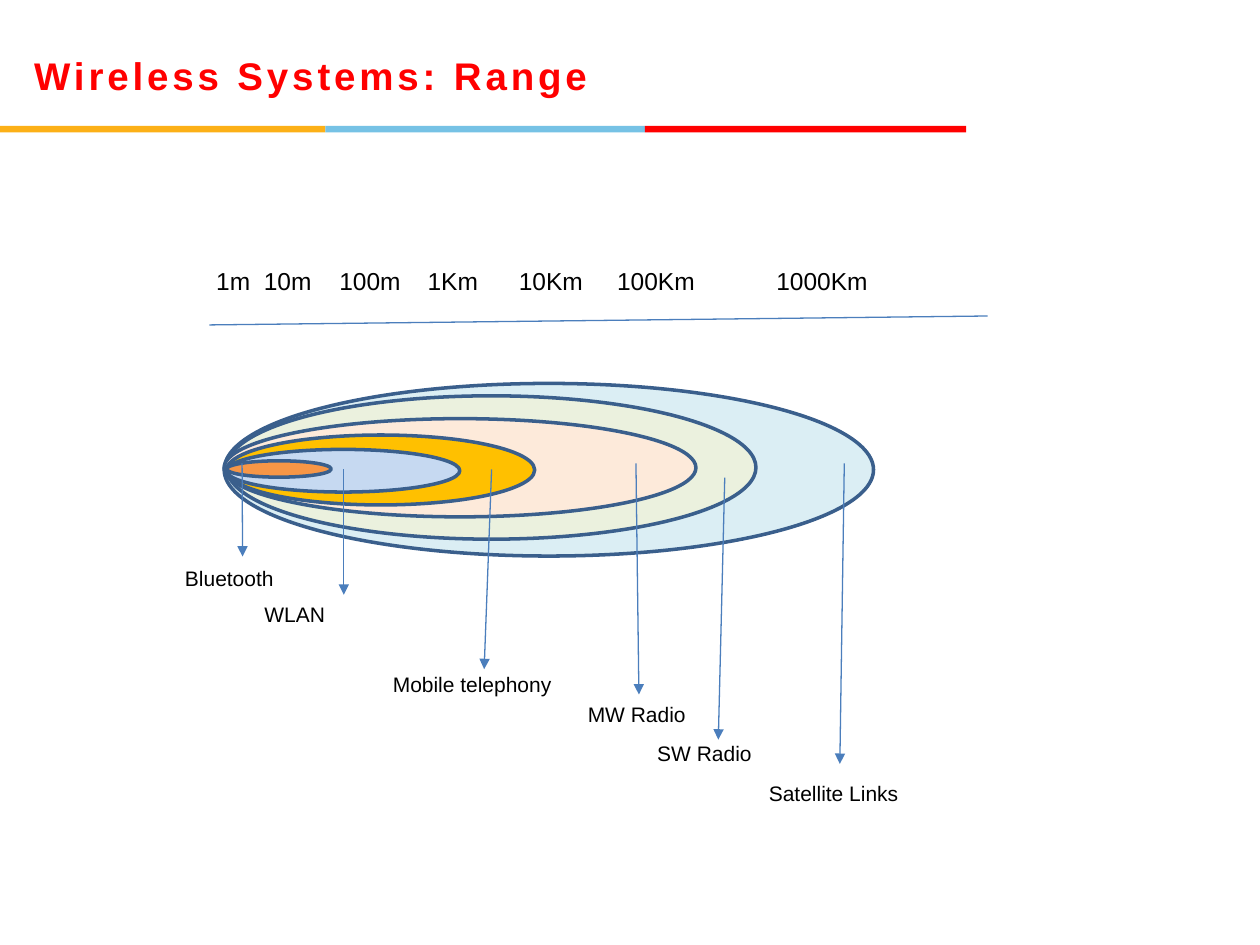
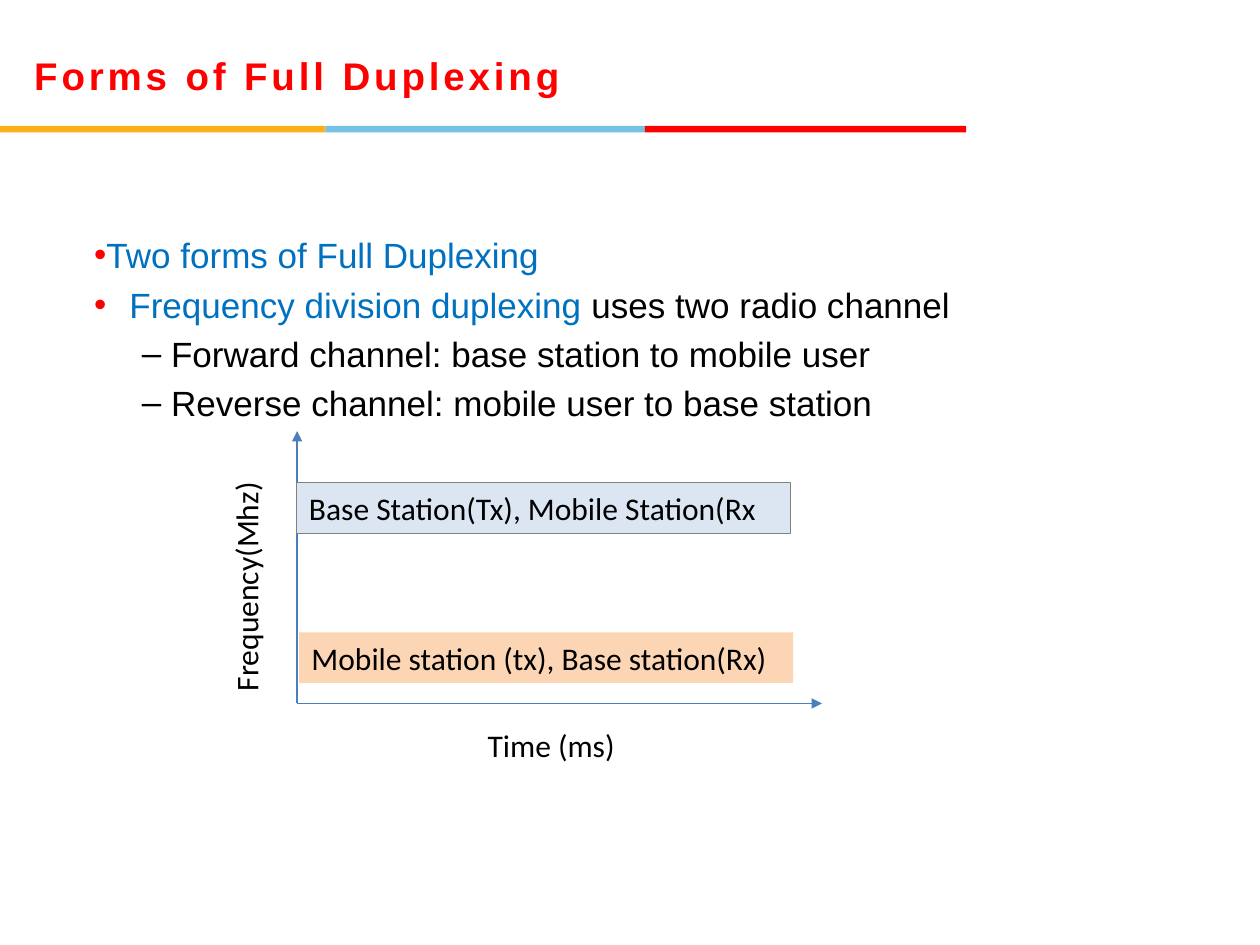
from dataclasses import dataclass
from typing import NamedTuple

from lxml.etree import SubElement
from pptx import Presentation
from pptx.dml.color import RGBColor
from pptx.enum.shapes import MSO_CONNECTOR, MSO_SHAPE
from pptx.enum.text import MSO_ANCHOR, PP_ALIGN
from pptx.oxml.ns import qn
from pptx.util import Cm, Pt


@dataclass(frozen=True)
class Theme:
    """Colours, fonts and sizes shared by the slides."""

    red: str = "FF0000"
    amber: str = "FCB017"
    sky: str = "76C2E5"
    blue: str = "0070C0"
    black: str = "000000"
    arrow: str = "4B7EBC"
    outline: str = "3A5F8C"
    box_border: str = "808080"
    downlink: str = "DCE6F2"
    uplink: str = "FCD5B5"
    font: str = "Arial"
    chart_font: str = "Calibri"
    title_size: float = 22
    title_spacing: float = 2.25
    body_size: float = 20
    chart_size: float = 18
    scale_size: float = 14
    label_size: float = 12
    thin_line: float = 0.75
    thick_line: float = 2


THEME = Theme()


class Service(NamedTuple):
    """A wireless service with its range ellipse, arrow and label position."""

    name: str
    fill: str
    ellipse: tuple
    arrow: tuple
    label: tuple


SERVICES = [
    Service("Satellite Links", "DBEEF4", (4.52, 7.73, 13.09, 3.48),
            (17.02, 9.34, 16.93, 15.4), (15.25, 15.62)),
    Service("SW Radio", "EBF1DE", (4.57, 7.98, 10.67, 2.89),
            (14.61, 9.63, 14.48, 14.91), (13, 14.81)),
    Service("MW Radio", "FDEADA", (4.52, 8.44, 9.51, 1.98),
            (12.82, 9.34, 12.88, 14), (11.6, 14.02)),
    Service("Mobile telephony", "FFC000", (4.57, 8.77, 6.21, 1.41),
            (9.91, 9.46, 9.76, 13.49), (7.67, 13.41)),
    Service("WLAN", "C6D9F1", (4.57, 9.06, 4.7, 0.86),
            (6.93, 9.46, 6.93, 11.99), (5.08, 12.01)),
    Service("Bluetooth", "F79646", (4.57, 9.29, 2.11, 0.33),
            (4.88, 9.34, 4.89, 11.22), (3.48, 11.28)),
]

SCALE_MARKS = ["1m", "10m", "100m", "1Km", "10Km", "100Km", "1000Km"]
SCALE_TABS = [0.96, 2.48, 4.26, 6.1, 8.08, 11.29]


def apply_format(target, **values):
    """Set each named attribute on the target."""
    for name, value in values.items():
        setattr(target, name, value)


def add_run(paragraph, text, size, color=THEME.black, font=THEME.font, bold=False):
    """Append a formatted run to the paragraph and return it."""
    run = paragraph.add_run()
    run.text = text
    apply_format(run.font, name=font, size=Pt(size), bold=bold)
    run.font.color.rgb = RGBColor.from_string(color)
    return run


def add_text(slide, box, text, size, **style):
    """Add a wrapped text box with one run and return its shape."""
    shape = slide.shapes.add_textbox(*map(Cm, box))
    shape.text_frame.word_wrap = True
    if text:
        add_run(shape.text_frame.paragraphs[0], text, size, **style)
    return shape


def add_filled(slide, kind, box, fill, border=None, width=THEME.thin_line):
    """Add a flat preset shape with an optional border."""
    shape = slide.shapes.add_shape(kind, *map(Cm, box))
    shape.shadow.inherit = False
    shape.fill.solid()
    shape.fill.fore_color.rgb = RGBColor.from_string(fill)
    if border:
        shape.line.color.rgb = RGBColor.from_string(border)
        shape.line.width = Pt(width)
    else:
        shape.line.fill.background()
    return shape


def add_line(slide, ends, arrowhead=True):
    """Add a thin straight line, by default with an arrowhead at its end."""
    connector = slide.shapes.add_connector(MSO_CONNECTOR.STRAIGHT, *map(Cm, ends))
    connector.line.color.rgb = RGBColor.from_string(THEME.arrow)
    connector.line.width = Pt(THEME.thin_line)
    properties = connector.element.spPr
    if arrowhead:
        SubElement(properties.find(qn("a:ln")), qn("a:tailEnd"), type="triangle")
    SubElement(properties, qn("a:effectLst"))


def add_title_slide(presentation, title):
    """Add a blank slide with the three-colour rule and a title."""
    slide = presentation.slides.add_slide(presentation.slide_layouts[6])
    bands = [(0, 6.56, THEME.amber), (6.56, 6.44, THEME.sky), (13, 6.48, THEME.red)]
    for left, width, color in bands:
        add_filled(slide, MSO_SHAPE.RECTANGLE, (left, 2.54, width, 0.13), color)
    shape = add_text(slide, (0.69, 0.43, 18.16, 2.16), "", THEME.title_size)
    frame = shape.text_frame
    apply_format(frame, vertical_anchor=MSO_ANCHOR.MIDDLE, margin_left=0,
                 margin_right=0, margin_top=0, margin_bottom=0)
    run = add_run(frame.paragraphs[0], title, THEME.title_size, THEME.red, bold=True)
    run.font._element.set("spc", str(round(THEME.title_spacing * 100)))
    return slide


def add_scale(slide):
    """Add the distance marks on tab stops above the scale line."""
    add_line(slide, (4.22, 6.55, 19.91, 6.37), arrowhead=False)
    shape = add_text(slide, (4.11, 5.24, 15.65, 0.86), "", THEME.scale_size)
    paragraph = shape.text_frame.paragraphs[0]
    tabs = SubElement(paragraph._p.get_or_add_pPr(), qn("a:tabLst"))
    for position in SCALE_TABS:
        SubElement(tabs, qn("a:tab"), pos=str(Cm(position)), algn="l")
    add_run(paragraph, "\t".join(SCALE_MARKS), THEME.scale_size)


def add_bullet(paragraph, runs, mark, mark_color, margin, hanging, level):
    """Fill a paragraph with coloured runs behind a bullet mark."""
    properties = paragraph._p.get_or_add_pPr()
    properties.set("marL", str(Cm(margin)))
    properties.set("indent", str(-Cm(hanging)))
    color = SubElement(properties, qn("a:buClr"))
    SubElement(color, qn("a:srgbClr"), val=mark_color)
    SubElement(properties, qn("a:buFont"), typeface=THEME.font)
    SubElement(properties, qn("a:buChar"), char=mark)
    paragraph.level = level
    for text, run_color in runs:
        add_run(paragraph, text, THEME.body_size, run_color)


def add_duplexing_points(slide):
    """Add the bulleted explanation of full duplexing."""
    main_mark = ("•", THEME.red)
    sub_mark = ("–", THEME.black, 1.55, 0.59, 1)
    points = [
        ([("Two forms of Full Duplexing", THEME.blue)], *main_mark, 0, 0, 0),
        ([("Frequency division duplexing ", THEME.blue),
          ("uses two radio channel", THEME.black)], *main_mark, 0.71, 0.71, 0),
        ([("Forward channel: base station to mobile user", THEME.black)], *sub_mark),
        ([("Reverse channel: mobile user to base station", THEME.black)], *sub_mark),
    ]
    frame = add_text(slide, (1.9, 4.59, 22.86, 11.5), "", THEME.body_size).text_frame
    apply_format(frame, margin_left=0, margin_right=0)
    for index, point in enumerate(points):
        paragraph = frame.add_paragraph() if index else frame.paragraphs[0]
        add_bullet(paragraph, *point)
        if index:
            paragraph.space_before = Pt(4 if paragraph.level else 4.5)


def add_channel(slide, box, text, fill, border=None):
    """Add a channel bar with left-aligned text."""
    shape = add_filled(slide, MSO_SHAPE.RECTANGLE, box, fill, border)
    shape.text_frame.word_wrap = True
    paragraph = shape.text_frame.paragraphs[0]
    paragraph.alignment = PP_ALIGN.LEFT
    add_run(paragraph, text, THEME.chart_size, font=THEME.chart_font)


def build_range_slide(presentation):
    """Build the slide on the range of wireless systems."""
    slide = add_title_slide(presentation, "Wireless Systems: Range")
    add_scale(slide)
    for service in SERVICES:
        add_filled(slide, MSO_SHAPE.OVAL, service.ellipse, service.fill,
                   THEME.outline, THEME.thick_line)
    for service in reversed(SERVICES):
        add_line(slide, service.arrow)
        add_text(slide, (*service.label, 4.17, 0.76), service.name, THEME.label_size)


def build_duplexing_slide(presentation):
    """Build the slide on frequency division duplexing."""
    slide = add_title_slide(presentation, "Forms of Full Duplexing")
    add_duplexing_points(slide)
    origin = (5.99, 14.18)
    for axis_end in [(5.99, 8.69), (16.57, 14.18)]:
        add_line(slide, (*origin, *axis_end))
    add_channel(slide, (5.98, 9.73, 9.96, 1.02), "Base Station(Tx), Mobile Station(Rx",
                THEME.downlink, THEME.box_border)
    add_channel(slide, (6.03, 12.75, 9.96, 1.02), "Mobile station (tx), Base station(Rx)",
                THEME.uplink)
    axis_titles = [("Time (ms)", 9.58, 14.52, 0), ("Frequency(Mhz)", 2.42, 11.13, 270)]
    for text, left, top, rotation in axis_titles:
        shape = add_text(slide, (left, top, 5.08, 1.02), text, THEME.chart_size,
                         font=THEME.chart_font)
        shape.rotation = rotation


def main():
    """Build and save the presentation."""
    presentation = Presentation()
    apply_format(presentation, slide_width=Cm(25.4), slide_height=Cm(19.05))
    build_range_slide(presentation)
    build_duplexing_slide(presentation)
    presentation.save("out.pptx")


if __name__ == "__main__":
    main()
